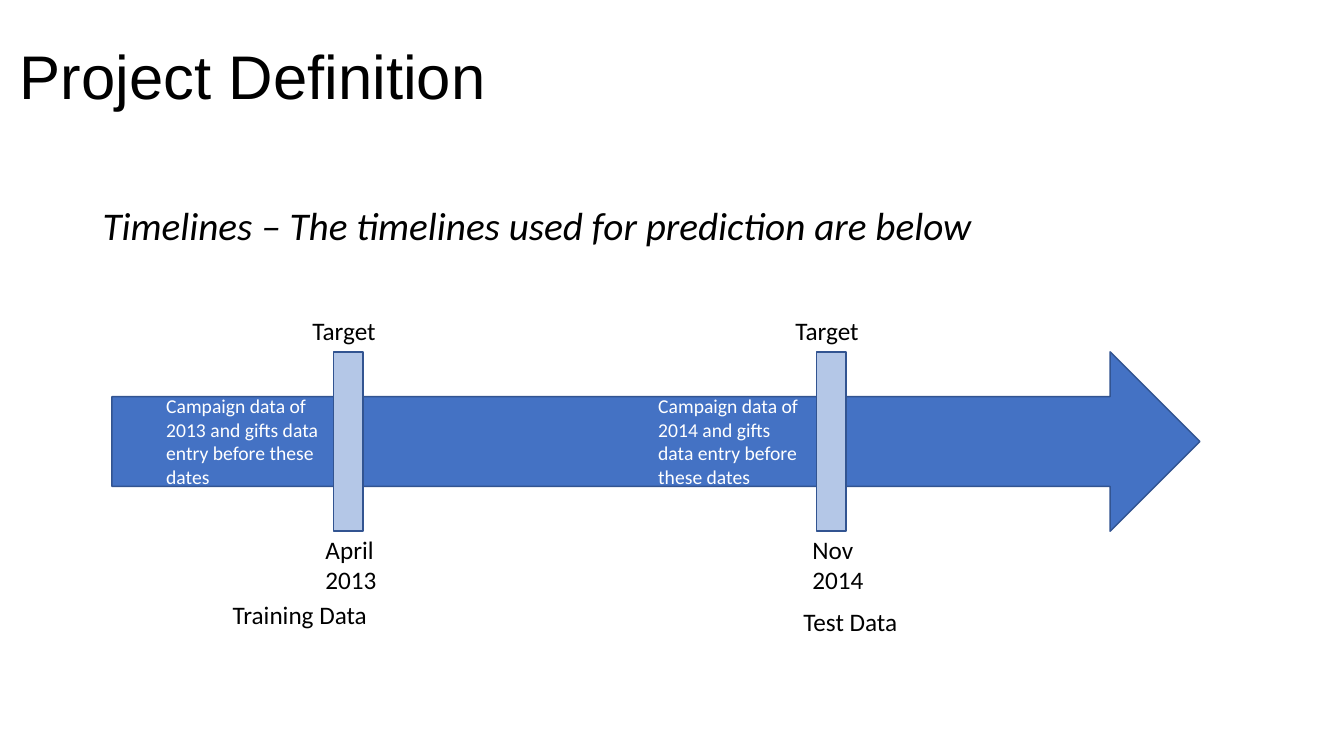
from pptx import Presentation
from pptx.dml.color import RGBColor
from pptx.enum import shapes, text
from pptx.util import Inches, Pt

BLACK = RGBColor(0x00, 0x00, 0x00)
WHITE = RGBColor(0xFF, 0xFF, 0xFF)
ARROW_BLUE = RGBColor(0x44, 0x72, 0xC4)
MARKER_BLUE = RGBColor(0xB4, 0xC7, 0xE7)
OUTLINE_BLUE = RGBColor(0x32, 0x54, 0x91)

MARKER_WIDTH = 0.29

# Label offsets are measured from the left edge of the marker.
MILESTONES = [
    {"offset": 2.2, "date": ["April 2013"], "date_shift": -0.18,
     "note": "Campaign data of 2013 and gifts data entry before these dates",
     "note_width": 1.76, "phase": "Training Data", "phase_at": (-1.1, 2.41)},
    {"offset": 6.99, "date": ["Nov", "2014"], "date_shift": -0.14,
     "note": "Campaign data of 2014 and gifts data entry before these dates",
     "note_width": 1.67, "phase": "Test Data", "phase_at": (-0.23, 2.48)},
]


def add_text(page, box, lines, size=18, color=BLACK, name="Calibri",
             italic=False, anchor=text.MSO_ANCHOR.TOP, spacing=1.0, before=0):
    frame = page.shapes.add_textbox(*map(Inches, box)).text_frame
    frame.word_wrap = True
    frame.vertical_anchor = anchor
    font_values = {"name": name, "size": Pt(size), "italic": italic}
    for index, line in enumerate(lines):
        para = frame.add_paragraph() if index else frame.paragraphs[0]
        para.line_spacing = spacing
        para.space_before = Pt(before)
        span = para.add_run()
        span.text = line
        for key, value in font_values.items():
            setattr(span.font, key, value)
        span.font.color.rgb = color


def add_block(page, kind, box, fill):
    block = page.shapes.add_shape(kind, *map(Inches, box))
    block.shadow.inherit = False
    block.fill.solid()
    block.fill.fore_color.rgb = fill
    block.line.color.rgb = OUTLINE_BLUE
    block.line.width = Pt(1)


def add_heading(page, box):
    left, top, width, height = box
    add_text(page, (left, top, width, 1.45), ["Project Definition"], size=44,
             name="Arial", anchor=text.MSO_ANCHOR.MIDDLE, spacing=0.9)
    add_text(page, (left + 0.82, top + 1.94, width, height - 1.94),
             ["Timelines – The timelines used for prediction are below"],
             size=28, italic=True, spacing=0.9, before=10)


def add_milestone(page, box, milestone):
    """Draw one marker across the arrow, with the labels around it."""
    left, top, width, height = box
    add_block(page, shapes.MSO_SHAPE.RECTANGLE, box, MARKER_BLUE)
    add_text(page, (left - 0.31, top - 0.41, 1.2, 0.4), ["Target"])
    add_text(page, (left + milestone["date_shift"], top + height - 0.02, 1.17, 0.71),
             milestone["date"])
    note_width = milestone["note_width"]
    add_text(page, (left - note_width, top + 0.37, note_width, 1.04),
             [milestone["note"]], size=14, color=WHITE)
    across, down = milestone["phase_at"]
    add_text(page, (left + across, top + down, 1.84, 0.4), [milestone["phase"]])


def add_timeline(page, box):
    left, top, width, height = box
    add_block(page, shapes.MSO_SHAPE.RIGHT_ARROW, box, ARROW_BLUE)
    for milestone in MILESTONES:
        marker = (left + milestone["offset"], top, MARKER_WIDTH, height)
        add_milestone(page, marker, milestone)


def main():
    deck = Presentation()
    deck.slide_width, deck.slide_height = Inches(13.33), Inches(7.5)
    page = deck.slides.add_slide(deck.slide_layouts[6])
    add_heading(page, (0.1, 0.06, 11.5, 6.7))
    add_timeline(page, (1.11, 3.49, 10.79, 1.78))
    deck.save("out.pptx")


if __name__ == "__main__":
    main()
